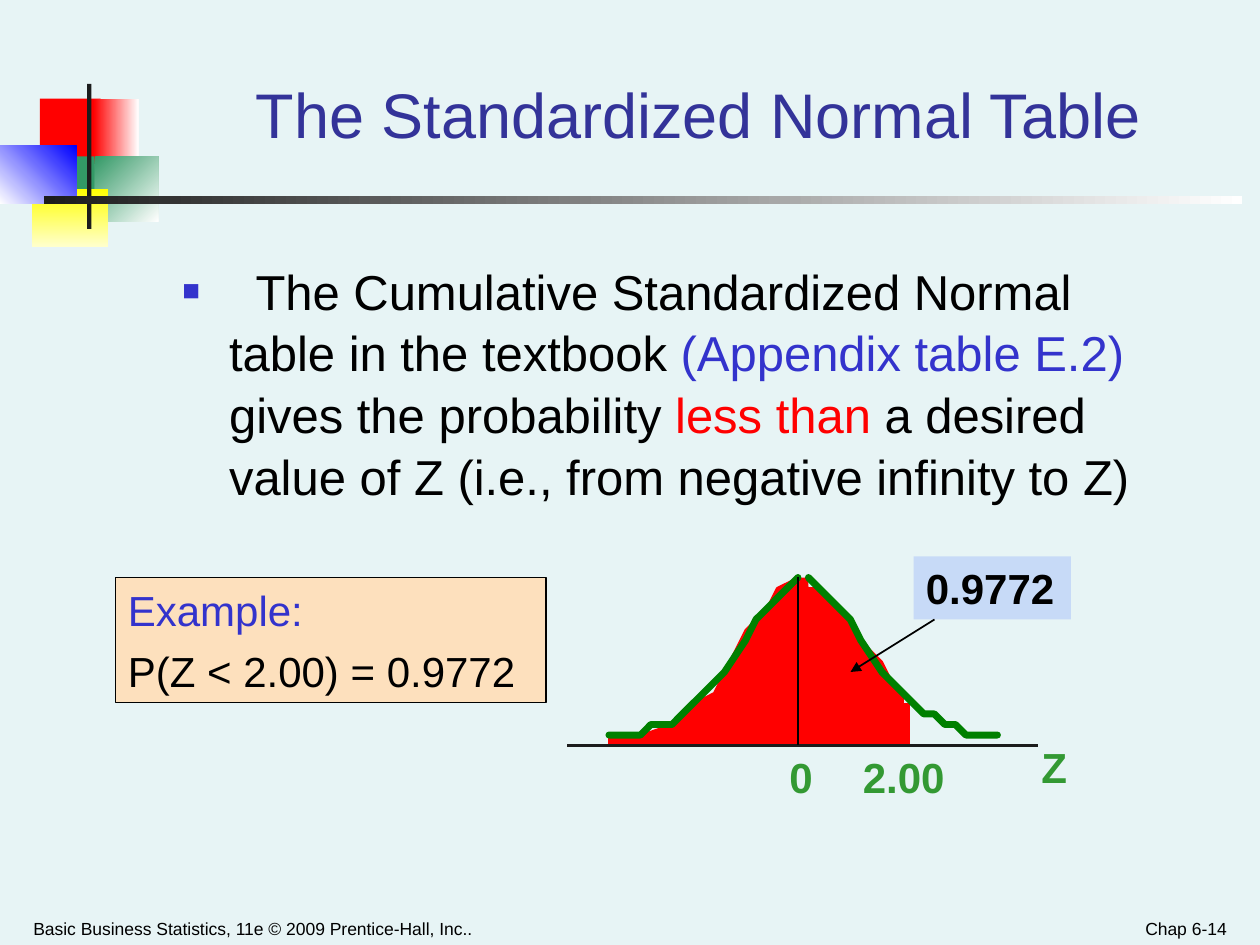
import lxml.etree
import pptx
import pptx.dml.color
import pptx.enum.shapes
import pptx.enum.text
import pptx.oxml.ns
import pptx.util

COLS, ROWS = 120, 90
ALIGN = pptx.enum.text.PP_ALIGN
ANCHOR = pptx.enum.text.MSO_ANCHOR
INK, INDIGO, GREEN, RED, CURVE = "000000", "3333CC", "339933", "FF0000", "008000"


def rgb(hex_color):
    return pptx.dml.color.RGBColor.from_string(hex_color)


def add_xml(parent, tag, **attrs):
    return lxml.etree.SubElement(parent, pptx.oxml.ns.qn(tag), attrs)


class Canvas:
    """Places elements on a 120 by 90 grid of square cells."""

    font_name = "Arial"

    def __init__(self):
        self.prs = pptx.Presentation()
        self.prs.slide_width = pptx.util.Inches(10)
        self.prs.slide_height = pptx.util.Inches(7.5)
        self.cell = self.prs.slide_width / COLS
        self.s = self.prs.slides.add_slide(self.prs.slide_layouts[6])

    def background(self, color):
        fill = self.s.background.fill
        fill.solid()
        fill.fore_color.rgb = rgb(color)

    def grid(self, *cells):
        return [round(c * self.cell) for c in cells]

    def paint(self, sp, fill=None, line=None, width=1):
        sp.shadow.inherit = False
        if fill:
            sp.fill.solid()
            sp.fill.fore_color.rgb = rgb(fill)
        else:
            sp.fill.background()
        if line:
            self.stroke(sp.line, line, width)
        else:
            sp.line.fill.background()

    def stroke(self, line, color, width):
        line.color.rgb = rgb(color)
        line.width = pptx.util.Pt(width)

    def rect(self, box, fill, line=None, width=1):
        sp = self.s.shapes.add_shape(
            pptx.enum.shapes.MSO_SHAPE.RECTANGLE, *self.grid(*box))
        self.paint(sp, fill, line, width)
        return sp

    def gradient(self, box, start, end, angle):
        """Fill from start to end; the angle runs clockwise from the right."""
        sp = self.rect(box, start)
        sp.fill.gradient()
        sp.fill.gradient_angle = -angle % 360
        for stop, color in zip(sp.fill.gradient_stops, (start, end)):
            stop.color.rgb = rgb(color)

    def outline(self, points, fill=None, line=None, width=1):
        """Polygon when filled, otherwise an open round-ended curve."""
        fb = self.s.shapes.build_freeform(*points[0], scale=self.cell)
        fb.add_line_segments(points[1:], close=bool(fill))
        sp = fb.convert_to_shape()
        self.paint(sp, fill, line, width)
        sp.line._get_or_add_ln().set("cap", "rnd")

    def line(self, start, end, color, width, arrow=False):
        cxn = self.s.shapes.add_connector(
            pptx.enum.shapes.MSO_CONNECTOR.STRAIGHT, *self.grid(*start, *end))
        self.stroke(cxn.line, color, width)
        if arrow:
            add_xml(cxn.line._get_or_add_ln(), "a:tailEnd", type="triangle")
        add_xml(cxn._element.spPr, "a:effectLst")

    def text(self, box, paragraphs, **style):
        sp = self.s.shapes.add_textbox(*self.grid(*box))
        return self.set_text(sp, paragraphs, **style)

    def set_text(self, sp, paragraphs, size=24, bold=False, align=ALIGN.LEFT,
                 anchor=ANCHOR.TOP, wrap=True, gap=0):
        """Each paragraph is a list of (text, color) runs."""
        tf = sp.text_frame
        tf.word_wrap = wrap
        tf.vertical_anchor = anchor
        for i, runs in enumerate(paragraphs):
            p = tf.paragraphs[0] if i == 0 else tf.add_paragraph()
            p.alignment = align
            if i:
                p.space_before = pptx.util.Pt(gap)
            for words, color in runs:
                r = p.add_run()
                r.text = words
                font = {"name": self.font_name, "size": pptx.util.Pt(size),
                        "bold": bold}
                for key, value in font.items():
                    setattr(r.font, key, value)
                r.font.color.rgb = rgb(color)
        return tf

    def bullet(self, p, char, color, percent, margin, indent, tabs):
        p.line_spacing = 1.05
        pPr = p._p.get_or_add_pPr()
        pPr.set("marL", str(pptx.util.Inches(margin)))
        pPr.set("indent", str(pptx.util.Inches(indent)))
        add_xml(add_xml(pPr, "a:buClr"), "a:srgbClr", val=color)
        add_xml(pPr, "a:buSzPct", val=str(percent * 1000))
        add_xml(pPr, "a:buFont", typeface=self.font_name)
        add_xml(pPr, "a:buChar", char=char)
        stops = add_xml(pPr, "a:tabLst")
        for tab in tabs:
            add_xml(stops, "a:tab", pos=str(pptx.util.Inches(tab)), algn="l")


def draw_ornament(c):
    c.rect((3.8, 9.4, 5.8, 6.2), RED)
    c.gradient((8.9, 9.4, 4.3, 6.2), RED, "FFFFFF", 0)
    c.gradient((9, 14.9, 6.1, 6.2), "339966", "FFFFFF", 45)
    c.rect((5.2, 14.9, 3.8, 6.2), "339966")
    c.gradient((3, 18, 7.3, 5.5), "FFFF00", "FFFFCC", 90)
    c.gradient((0, 13.9, 7.3, 5.5), "FFFFFF", "0000FF", 315)
    c.rect((8.3, 8, 0.4, 13.8), "1C1C1C")
    c.gradient((4.2, 18.7, 114.1, 0.7), "1C1C1C", "FFFFFF", 0)


def draw_text(c):
    footer = {"size": 10, "anchor": ANCHOR.BOTTOM}
    c.text((2, 85.8, 61, 4.2), [[
        ("Basic Business Statistics, 11e © 2009 Prentice-Hall, Inc..", INK)]],
        **footer)
    c.text((90, 85.8, 28, 4.2), [[("Chap 6-14", INK)]],
           align=ALIGN.RIGHT, **footer)
    c.text((20, 4, 93, 11), [[("The Standardized Normal Table", "333399")]],
           size=36, align=ALIGN.CENTER, anchor=ANCHOR.BOTTOM)
    tf = c.text((15, 24, 97, 28.7), [[
        ("\tThe Cumulative Standardized Normal table in the textbook ", INK),
        ("(Appendix table E.2)", INDIGO),
        (" gives the probability ", INK),
        ("less than", RED),
        (" a desired value of Z (i.e., from negative infinity to Z)", INK)]],
        size=28)
    # One stop for tabs counted from the indent, one for tabs from the edge
    c.bullet(tf.paragraphs[0], "■", INDIGO, 60, 0.47, -0.37, (0.21, 0.68))


def draw_area(c):
    c.outline([(76.2, 71), (76.2, 55), (74.4, 56.2), (72.8, 57.6), (71.4, 59.9),
               (70, 62.2), (68.9, 64), (67.6, 65.5), (66.2, 67), (63.7, 68.6),
               (61.4, 69.6), (58.1, 70.1), (58.1, 71)], RED, RED)
    c.line((86, 67), (86, 71), RED, 8)
    c.rect((76, 55, 1, 16), RED)
    c.outline([(76.2, 55.3), (77.2, 55.6), (77.9, 55.9), (79.3, 57.2),
               (81, 59.3), (82.1, 60.8), (82.9, 62), (83.6, 63.1), (84.8, 64.6),
               (85.7, 66), (86.2, 66.8), (86.2, 70.2), (82.7, 70.7),
               (78.2, 70.6), (76.2, 70.6)], RED, RED)
    for width in (4, 12):
        c.line((76, 70), (86, 70), RED, width)


def draw_curve(c):
    left = [(58, 70), (60, 69.8), (61, 69.7), (61.9, 69.4), (62.9, 69.1),
            (64, 68.6), (64.9, 68), (66.8, 66.2), (68.9, 63.8), (70.8, 60.8),
            (71.8, 59.4), (72.8, 58), (73.8, 56.8), (74.8, 55.8), (75.7, 55.2),
            (76.3, 55)]
    right = [(94.7, 70), (92.8, 69.7), (91.8, 69.6), (90.7, 69.4), (89.8, 69),
             (88.8, 68.5), (87.8, 67.9), (85.8, 66.1), (83.9, 63.7),
             (81.8, 60.7), (80.9, 59.3), (79.9, 57.8), (79, 56.6), (77.9, 55.7),
             (76.9, 55.2), (76.6, 55)]
    for half in (left, right):
        c.outline(half, line=CURVE, width=4)
    c.line((54, 71), (98.9, 71), "1C1C1C", 2)
    c.line((76, 55), (76, 71), INK, 1)


def draw_labels(c):
    for label, box in (("Z", (98, 70, 4.8, 6)), ("0", (74, 71, 6.2, 6)),
                       ("2.00", (81, 71, 13, 6))):
        c.text(box, [[(label, GREEN)]], bold=True, wrap=label != "Z")
    sp = c.rect((87, 53, 15, 6), "C7DAF7")
    c.set_text(sp, [[("0.9772", INK)]], bold=True)
    c.line((89, 59), (81, 64), INK, 1, arrow=True)
    sp = c.rect((11, 55, 41, 11.9), "FDE0BD", INK, 0.75)
    c.set_text(sp, [[("Example:", INDIGO)], [("P(Z < 2.00) = 0.9772", INK)]],
               anchor=ANCHOR.MIDDLE, gap=6)


def main():
    c = Canvas()
    c.background("E7F4F5")
    for draw in (draw_ornament, draw_text, draw_area, draw_curve, draw_labels):
        draw(c)
    c.prs.save("out.pptx")


if __name__ == "__main__":
    main()
